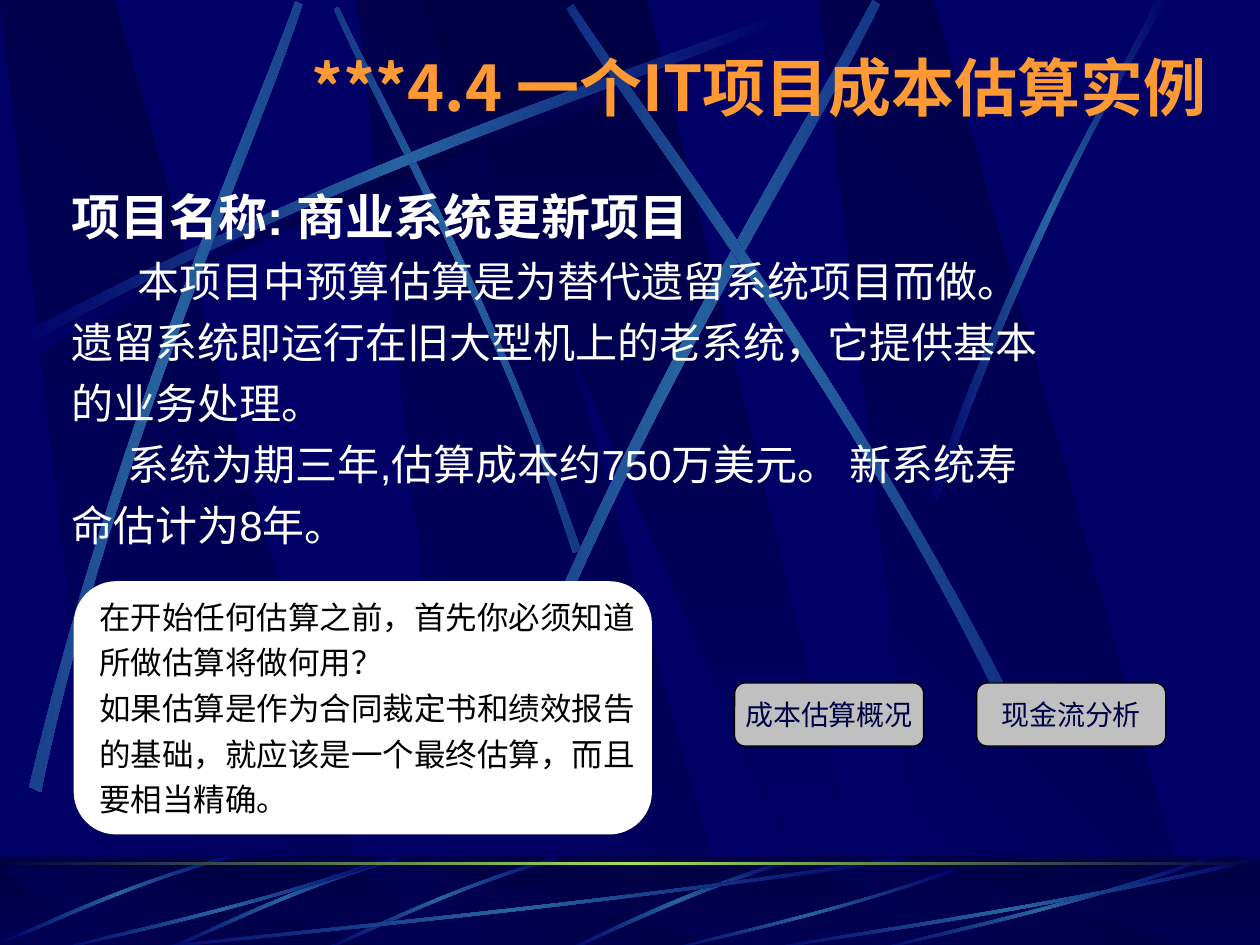
from pptx import Presentation
from pptx import util as u
from pptx.dml.color import RGBColor
from pptx.enum import shapes, text
from pptx.oxml import parse_xml
from pptx.oxml.ns import nsdecls, qn

NAVY, DARK, BLUE, WHITE = "000066", "000044", "2663A0", "FFFFFF"
SHADE = (DARK, NAVY)
GLOW = (NAVY, BLUE, NAVY)
DIM = (NAVY, DARK, NAVY)

SLAT = [(28.5, 99.7), (100, 100), (30.1, 0), (0, 0)]
WIDE_SLAT = [(0, 0), (90, 100), (100, 100), (50, 0)]
RAY = [(0, 96.3), (43.4, 43.1), (82.9, 15.4), (99.7, 0),
       (100, 2.2), (83.6, 19.1), (38.5, 49.8), (0.5, 100)]
STEEP_RAY = [(0, 99), (40.2, 43.6), (79.4, 16.6), (94.7, 0),
             (100, 0), (51.9, 36.5), (16.4, 81.1), (3.2, 100)]
FLOOR_RAY = [(99.4, 0), (49.4, 37), (16.1, 82.2), (0, 99),
             (2.8, 100), (23.3, 75.3), (68.3, 24.7), (100, 4.1)]
FLOOR_ARC = [(100, 4), (56.6, 57.3), (17.2, 85.3), (0.5, 100),
             (0, 99), (16.5, 81), (61.6, 50.7), (99.5, 0)]


def color(value):
    return RGBColor.from_string(value)


def fill_xml(shape, xml):
    shape.fill.background()
    properties = shape._element.spPr
    properties.replace(properties.find(qn("a:noFill")), parse_xml(xml))


def fill_gradient(shape, colors, angle):
    stops = "".join(
        f'<a:gs pos="{100000 * i // (len(colors) - 1)}"><a:srgbClr val="{value}"/></a:gs>'
        for i, value in enumerate(colors))
    fill_xml(shape, f'<a:gradFill {nsdecls("a")} rotWithShape="0"><a:gsLst>{stops}</a:gsLst>'
                    f'<a:lin ang="{angle * 60000}" scaled="0"/></a:gradFill>')


def add_outline(page, points, area, colors, angle, rotation=0):
    left, top, width, height = area
    spots = [(u.Cm(left + x * width / 100), u.Cm(top + y * height / 100)) for x, y in points]
    builder = page.shapes.build_freeform(*spots[0])
    builder.add_line_segments(spots[1:], close=True)
    shape = builder.convert_to_shape()
    shape.shadow.inherit = False
    shape.line.fill.background()
    shape.rotation = rotation
    fill_gradient(shape, colors, angle)
    return shape


def bend_sides(shape):
    lines = list(shape._element.iter(qn("a:lnTo")))
    for side in (lines[:3], lines[4:7]):
        bend = parse_xml(f'<a:cubicBezTo {nsdecls("a")}/>')
        side[0].addprevious(bend)
        for line in side:
            bend.append(line[0])
            line.getparent().remove(line)


def add_ray(page, points, area, rotation=0, flip=False, colors=GLOW):
    if flip:
        points = [(100 - x, y) for x, y in points]
    bend_sides(add_outline(page, points, area, colors, 180, rotation))


def add_slats(page, top, height):
    for left in (7.19, 0, 16.51):
        add_outline(page, SLAT, (left, top, 7.67, height), SHADE, 135)
    add_outline(page, WIDE_SLAT, (8.46, top, 9.17, height), SHADE, 90)


def add_strip(page, top, height):
    shape = page.shapes.add_shape(shapes.MSO_SHAPE.RECTANGLE, 0, u.Cm(top), u.Cm(25.4), u.Cm(height))
    shape.shadow.inherit = False
    shape.line.fill.background()
    return shape


def add_paragraph(frame, words, size, ink, bold=False, font="Arial", align="LEFT",
                  margin=0, indent=0, before=0):
    first = frame.paragraphs[0]
    para = frame.add_paragraph() if first.runs else first
    para.alignment = getattr(text.PP_ALIGN, align)
    para.space_before = u.Pt(before)
    if margin:
        properties = para._p.get_or_add_pPr()
        properties.set("marL", str(u.Cm(margin)))
        properties.set("indent", str(u.Cm(indent)))
    span = para.add_run()
    span.text = words
    span.font.size = u.Pt(size)
    span.font.bold = bold
    span.font.name = font
    span.font.color.rgb = color(ink)
    east = span.font._element.makeelement(qn("a:ea"), {"typeface": "Noto Sans CJK SC"})
    span.font._element.append(east)


def add_box(page, area, anchor="TOP"):
    box = page.shapes.add_textbox(*map(u.Cm, area))
    box.text_frame.word_wrap = True
    box.text_frame.vertical_anchor = getattr(text.MSO_ANCHOR, anchor)
    return box.text_frame


def add_card(page, area, fill, line):
    card = page.shapes.add_shape(shapes.MSO_SHAPE.ROUNDED_RECTANGLE, *map(u.Cm, area))
    card.shadow.inherit = False
    card.fill.solid()
    card.fill.fore_color.rgb = color(fill)
    card.line.color.rgb = color(line)
    card.line.width = u.Pt(0.75)
    card.text_frame.word_wrap = False
    card.text_frame.vertical_anchor = text.MSO_ANCHOR.MIDDLE
    return card.text_frame


def add_sky(page):
    add_slats(page, 0, 19.1)
    add_ray(page, RAY, (0.51, 0.46, 15.44, 6.78), colors=DIM)
    add_ray(page, RAY, (3.58, 3.43, 11.23, 4.45), 45, True)
    add_ray(page, RAY, (0.36, 0.25, 15.44, 6.78))
    add_ray(page, RAY, (-4.34, 4.62, 15.44, 6.78), 311.7)
    add_ray(page, RAY, (5.87, 4.06, 15.85, 7.65), 321.6)
    add_ray(page, RAY, (8.2, 3.86, 15.44, 6.78), 34.8, True)
    add_ray(page, STEEP_RAY, (18.75, 0, 4.8, 10.08))


def add_floor(page):
    fill_gradient(add_strip(page, 17.27, 1.91), SHADE, 90)
    add_slats(page, 17.48, 1.68)
    fill_xml(add_strip(page, 17.25, 1.91),
             f'<a:solidFill {nsdecls("a")}><a:srgbClr val="{DARK}">'
             '<a:alpha val="50000"/></a:srgbClr></a:solidFill>')
    add_ray(page, FLOOR_RAY, (11.38, 17.32, 4.57, 1.85))
    for area in ((6.55, 17.17, 4.67, 2.11), (3.38, 17.17, 4.67, 2.11), (0.13, 17.04, 4.55, 2.16)):
        add_ray(page, RAY, area, 314.9, True)
    for area in ((2.54, 17.27, 15.67, 1.91), (1.07, 17.27, 6.78, 1.91),
                 (13.39, 17.5, 5.87, 1.68), (17.58, 17.27, 6.78, 1.91),
                 (15.24, 17.27, 10.16, 1.91)):
        add_ray(page, FLOOR_ARC, area)
    fill_gradient(add_strip(page, 17.37, 0.06), (DARK, "9CE157", DARK), 180)


def add_content(page):
    title = add_box(page, (2.97, 0.84, 21.61, 1.8), "MIDDLE")
    add_paragraph(title, "***4.4 一个IT项目成本估算实例", 36, "FF9933", bold=True,
                  font="Noto Sans CJK SC", align="RIGHT")

    body = add_box(page, (1.19, 3.63, 21.59, 11.43))
    add_paragraph(body, "项目名称: 商业系统更新项目", 28, WHITE, bold=True,
                  margin=0.97, indent=-0.97, before=7)
    for words, indent in (("本项目中预算估算是为替代遗留系统项目而做。", 0.36),
                          ("遗留系统即运行在旧大型机上的老系统，它提供基本", -0.97),
                          ("的业务处理。", -0.97),
                          ("系统为期三年,估算成本约750万美元。 新系统寿", 0.17),
                          ("命估计为8年。", -0.97)):
        add_paragraph(body, words, 24, WHITE, margin=0.97, indent=indent, before=6)

    for left, words in ((14.81, "成本估算概况"), (19.69, "现金流分析")):
        button = add_card(page, (left, 13.77, 3.81, 1.27), "C0C0C0", "000000")
        add_paragraph(button, words, 16, DARK, align="CENTER", before=4)

    note = add_card(page, (1.5, 11.73, 11.63, 5.08), WHITE, WHITE)
    for words in ("在开始任何估算之前，首先你必须知道", "所做估算将做何用？",
                  "如果估算是作为合同裁定书和绩效报告",
                  "的基础，就应该是一个最终估算，而且", "要相当精确。"):
        add_paragraph(note, words, 18, "000000", before=4.5)


def main():
    deck = Presentation()
    deck.slide_width, deck.slide_height = u.Cm(25.4), u.Cm(19.05)
    page = deck.slides.add_slide(deck.slide_layouts[6])
    page.background.fill.solid()
    page.background.fill.fore_color.rgb = color(NAVY)
    add_sky(page)
    add_floor(page)
    add_content(page)
    deck.save("out.pptx")


if __name__ == "__main__":
    main()
